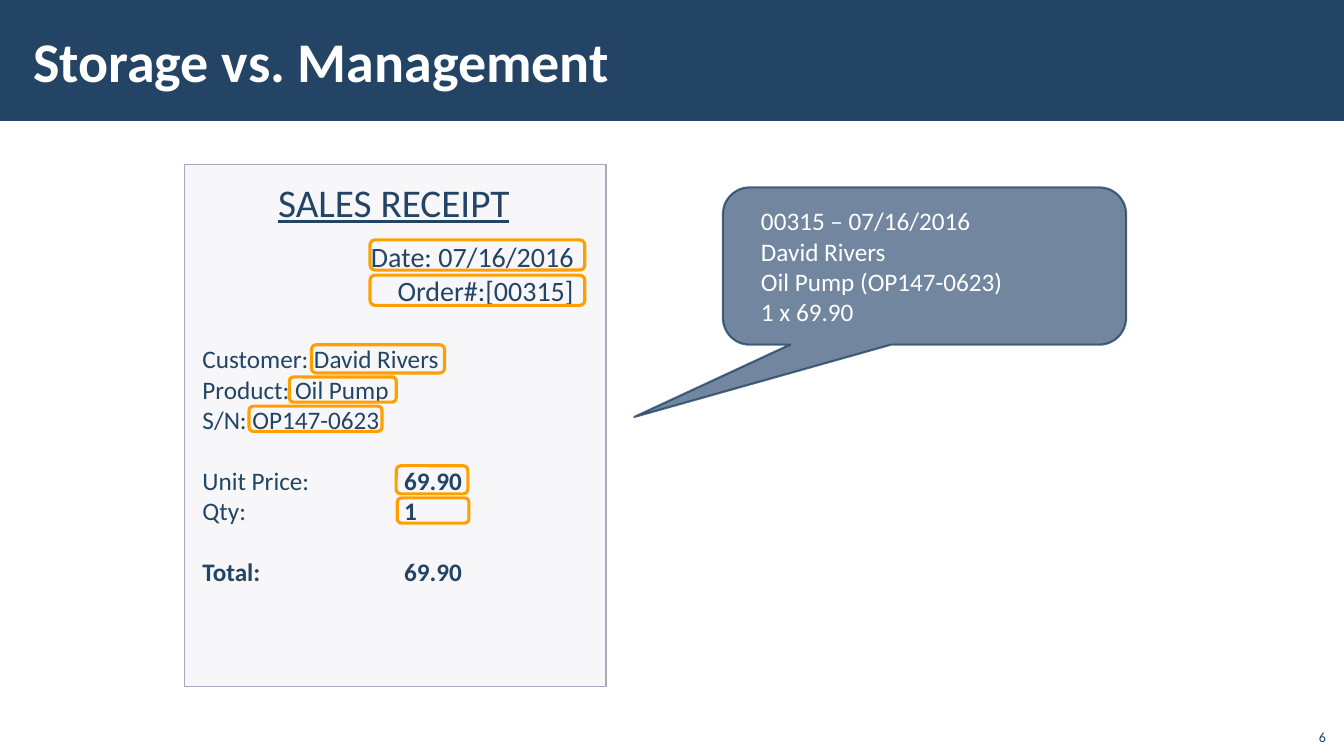
from dataclasses import dataclass

from lxml.etree import SubElement
from pptx import Presentation
from pptx.dml.color import RGBColor
from pptx.enum.shapes import MSO_SHAPE
from pptx.enum.text import MSO_ANCHOR, PP_ALIGN
from pptx.oxml.ns import qn
from pptx.util import Inches, Pt


@dataclass(frozen=True)
class Theme:
    """Colours, font and type sizes of the slide."""
    navy: str = "234465"
    slate: str = "4F6987"
    paper: str = "E9EBEF"
    edge: str = "A3ABBC"
    amber: str = "FFA000"
    white: str = "FFFFFF"
    font: str = "Calibri"
    title: int = 40
    heading: int = 28
    order: int = 20
    body: int = 18
    number: int = 10


@dataclass(frozen=True)
class Area:
    """A place on the slide, in percent of its width and height."""
    left: float
    top: float
    width: float
    height: float


@dataclass(frozen=True)
class Row:
    """One line of text: a label, and a value that may be bold."""
    label: str
    value: str = ""
    bold_label: bool = False
    bold_value: bool = False
    starts_group: bool = False


@dataclass(frozen=True)
class Style:
    """How the text of a box is set; insets are inches."""
    size: int
    color: str = Theme.navy
    align: PP_ALIGN = PP_ALIGN.LEFT
    anchor: MSO_ANCHOR = MSO_ANCHOR.TOP
    inset_x: float = 0.1
    inset_y: float = 0.05
    underline: bool = False
    wrap: bool = True


THEME = Theme()
LINE_FACTOR = 1.22
VALUE_TAB = Inches(2)

RECEIPT_LINES = [
    Row("Customer: David Rivers"),
    Row("Product: Oil Pump"),
    Row("S/N: OP147-0623"),
    Row("Unit Price:", "69.90", bold_value=True, starts_group=True),
    Row("Qty:", "1", bold_value=True),
    Row("Total:", "69.90", bold_label=True, bold_value=True, starts_group=True),
]
RECORD_LINES = [Row("00315 – 07/16/2016"), Row("David Rivers"),
                Row("Oil Pump (OP147-0623)"), Row("1 x 69.90")]
FIELD_MARKS = [
    Area(27.53, 31.73, 15.98, 4),       # date
    Area(27.53, 36.4, 15.98, 4),        # order number
    Area(23.18, 45.6, 9.9, 3.73),       # customer
    Area(18.53, 53.73, 9.9, 3.33),      # serial number
    Area(29.48, 61.6, 5.33, 3.73),      # unit price
    Area(29.56, 65.87, 5.33, 3.33),     # quantity
    Area(21.53, 49.87, 7.95, 3.33),     # product
]

deck = Presentation()
deck.slide_width, deck.slide_height = Inches(13.33), Inches(7.5)
page = deck.slides.add_slide(deck.slide_layouts[6])


def place(area: Area) -> tuple[int, int, int, int]:
    """Turn an area into left, top, width and height."""
    return (int(deck.slide_width * area.left / 100),
            int(deck.slide_height * area.top / 100),
            int(deck.slide_width * area.width / 100),
            int(deck.slide_height * area.height / 100))


def set_opacity(shape, where: str, percent: int) -> None:
    """Make the fill or the line of a shape see-through."""
    color = shape._element.spPr.find(f"{where}/{qn('a:srgbClr')}")
    SubElement(color, qn("a:alpha")).set("val", str(percent * 1000))


def draw_shape(kind: MSO_SHAPE, area: Area, fill: str = "", line: str = "",
               weight: float = 1, opacity: int = 100):
    """Draw a preset shape; an empty colour means none."""
    shape = page.shapes.add_shape(kind, *place(area))
    shape.shadow.inherit = False
    if fill:
        shape.fill.solid()
        shape.fill.fore_color.rgb = RGBColor.from_string(fill)
        set_opacity(shape, qn("a:solidFill"), opacity)
    else:
        shape.fill.background()
    if line:
        shape.line.color.rgb = RGBColor.from_string(line)
        shape.line.width = Pt(weight)
    else:
        shape.line.fill.background()
    return shape


def write(box, rows: list[Row], style: Style) -> None:
    """Fill a box with rows of text."""
    frame = box.text_frame
    frame.word_wrap = style.wrap
    frame.vertical_anchor = style.anchor
    frame.margin_left = frame.margin_right = Inches(style.inset_x)
    frame.margin_top = frame.margin_bottom = Inches(style.inset_y)
    for index, row in enumerate(rows):
        para = frame.add_paragraph() if index else frame.paragraphs[0]
        para.text = row.label
        para.alignment = style.align
        para.runs[0].font.bold = row.bold_label
        if row.starts_group:
            para.space_before = Pt(style.size * LINE_FACTOR)
        if row.value:
            stops = SubElement(para._p.get_or_add_pPr(), qn("a:tabLst"))
            stop = SubElement(stops, qn("a:tab"))
            stop.set("pos", str(VALUE_TAB))
            stop.set("algn", "l")
            value = para.add_run()
            value.text = "\t" + row.value
            value.font.bold = row.bold_value
        for span in para.runs:
            span.font.name = THEME.font
            span.font.size = Pt(style.size)
            span.font.underline = style.underline
            span.font.color.rgb = RGBColor.from_string(style.color)


def draw_text(area: Area, rows: list[Row], style: Style) -> None:
    """Add a text box with rows of text."""
    write(page.shapes.add_textbox(*place(area)), rows, style)


def draw_title() -> None:
    """Draw the title band and the title."""
    draw_shape(MSO_SHAPE.RECTANGLE, Area(0, 0, 100, 16), THEME.navy)
    draw_text(Area(1.58, 1.47, 79.74, 12.93),
              [Row("Storage vs. Management", bold_label=True)],
              Style(THEME.title, THEME.white, anchor=MSO_ANCHOR.MIDDLE,
                    inset_x=0.12, inset_y=0.04))


def draw_receipt() -> None:
    """Draw the sales receipt and its text."""
    draw_shape(MSO_SHAPE.RECTANGLE, Area(13.73, 21.73, 31.36, 69.07),
               THEME.paper, THEME.edge, opacity=36)
    draw_text(Area(19.95, 22.93, 18.9, 7.6), [Row("SALES RECEIPT")],
              Style(THEME.heading, underline=True, wrap=False))
    draw_text(Area(26.33, 31.07, 17.1, 14.8),
              [Row("Date: 07/16/2016"), Row("Order#:[00315]")],
              Style(THEME.order, align=PP_ALIGN.RIGHT))
    draw_text(Area(14.33, 44.8, 30.16, 33.6), RECEIPT_LINES, Style(THEME.body))


def draw_record() -> None:
    """Draw the callout with the stored record."""
    callout = draw_shape(MSO_SHAPE.ROUNDED_RECTANGULAR_CALLOUT,
                         Area(53.79, 24.8, 30, 20.8),
                         THEME.slate, THEME.navy, 1.5, opacity=80)
    set_opacity(callout, f"{qn('a:ln')}/{qn('a:solidFill')}", 80)
    for index, value in enumerate((-0.72, 0.96, 0.17)):
        callout.adjustments[index] = value
    write(callout, RECORD_LINES,
          Style(THEME.body, THEME.white, anchor=MSO_ANCHOR.MIDDLE,
                inset_x=0.3, inset_y=0.1))


draw_title()
draw_receipt()
draw_record()
for mark in FIELD_MARKS:
    draw_shape(MSO_SHAPE.ROUNDED_RECTANGLE, mark, line=THEME.amber, weight=2.25)
draw_text(Area(96.4, 94.93, 3, 4.27), [Row("6")],
          Style(THEME.number, align=PP_ALIGN.RIGHT, anchor=MSO_ANCHOR.BOTTOM))
deck.save("out.pptx")
